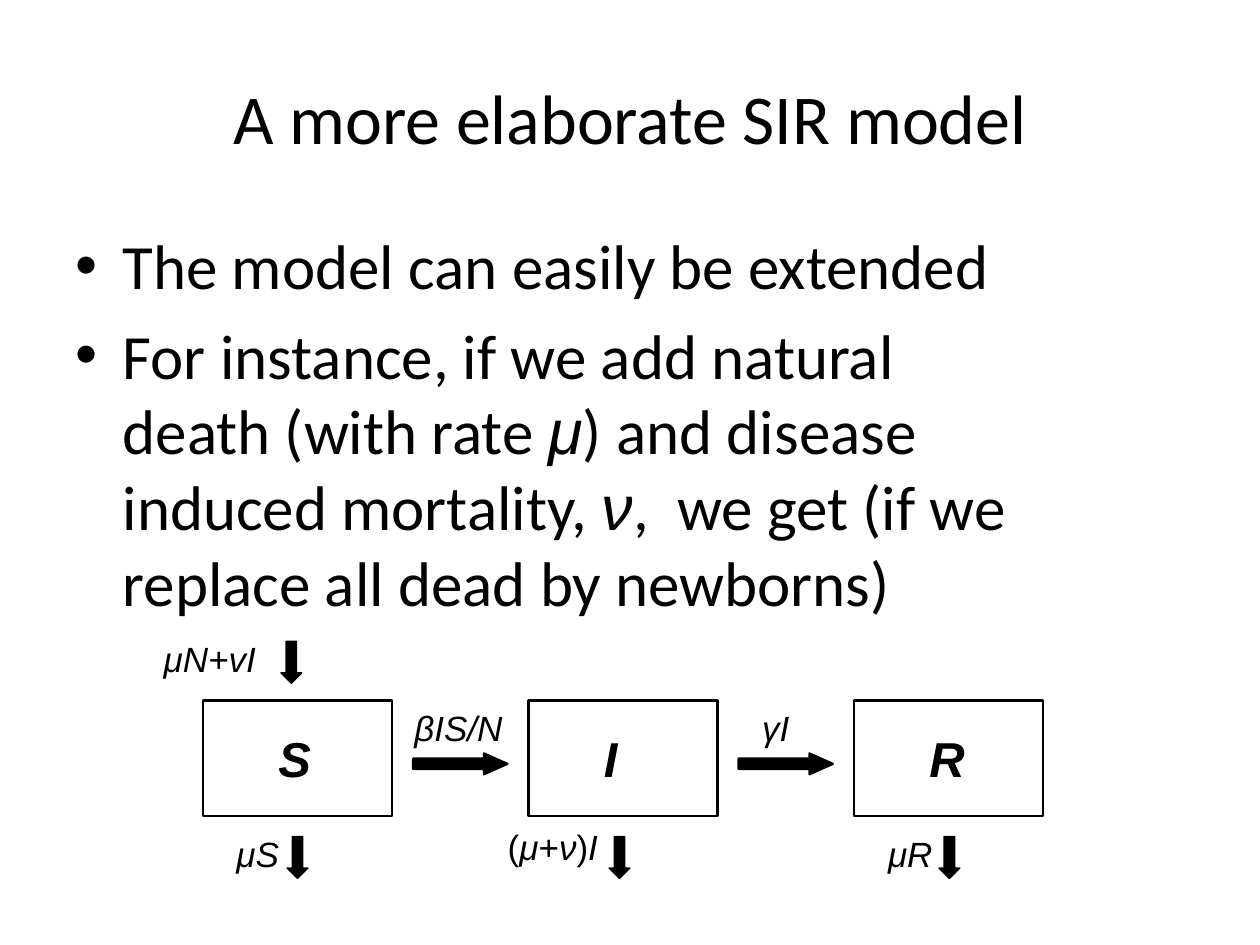
import dataclasses

import lxml.etree
import pptx
import pptx.dml.color
import pptx.enum.shapes
import pptx.enum.text
import pptx.oxml.ns
import pptx.util

Pt = pptx.util.Pt
ARROWS = pptx.enum.shapes.MSO_SHAPE
ALIGN = pptx.enum.text.PP_ALIGN
ANCHOR = pptx.enum.text.MSO_ANCHOR


@dataclasses.dataclass(frozen=True)
class Theme:
    ink: pptx.dml.color.RGBColor = pptx.dml.color.RGBColor(0, 0, 0)
    text_font: str = "Calibri"
    math_font: str = "Arial"
    title_size: int = 40
    body_size: int = 36
    state_size: int = 28
    rate_size: int = 20


class SlideBuilder:
    def __init__(self, slide, theme):
        self.slide = slide
        self.theme = theme

    def text_box(self, left, top, width, height, parent=None):
        shapes = (parent or self.slide).shapes
        frame = shapes.add_textbox(Pt(left), Pt(top), Pt(width), Pt(height)).text_frame
        frame.word_wrap = True
        return frame

    def run(self, paragraph, text, font, size, italic=False, bold=False):
        run = paragraph.add_run()
        run.text = text
        run.font.name = font
        run.font.size = Pt(size)
        run.font.italic = italic
        run.font.bold = bold
        run.font.color.rgb = self.theme.ink

    def title(self, text):
        frame = self.text_box(36, 21.6, 648, 90)
        frame.vertical_anchor = ANCHOR.MIDDLE
        paragraph = frame.paragraphs[0]
        paragraph.alignment = ALIGN.CENTER
        self.run(paragraph, text, self.theme.text_font, self.theme.title_size)

    def bullets(self, items):
        frame = self.text_box(36, 126, 568, 356)
        for index, pieces in enumerate(items):
            paragraph = frame.add_paragraph() if index else frame.paragraphs[0]
            if index:
                paragraph.space_before = Pt(8)
            properties = paragraph._p.get_or_add_pPr()
            properties.set("marL", str(Pt(27)))
            properties.set("indent", str(-Pt(27)))
            font = lxml.etree.SubElement(properties, pptx.oxml.ns.qn("a:buFont"))
            font.set("typeface", self.theme.math_font)
            bullet = lxml.etree.SubElement(properties, pptx.oxml.ns.qn("a:buChar"))
            bullet.set("char", "•")
            for text, is_symbol in pieces:
                font_name = self.theme.math_font if is_symbol else self.theme.text_font
                self.run(paragraph, text, font_name, self.theme.body_size, is_symbol)

    def state(self, left, name):
        box = self.slide.shapes.add_shape(
            ARROWS.RECTANGLE, Pt(left), Pt(400.3), Pt(108), Pt(66))
        box.shadow.inherit = False
        box.fill.background()
        box.line.color.rgb = self.theme.ink
        box.line.width = Pt(1.5)
        frame = self.text_box(left + 36, 412.5, 60, 41)
        self.run(frame.paragraphs[0], name, self.theme.math_font,
                 self.theme.state_size, italic=True, bold=True)

    def arrow(self, kind, left, top, width, height, head, line_width, parent=None):
        arrow = (parent or self.slide).shapes.add_shape(
            kind, Pt(left), Pt(top), Pt(width), Pt(height))
        arrow.adjustments[0] = 0.5
        arrow.adjustments[1] = head
        arrow.shadow.inherit = False
        arrow.fill.solid()
        arrow.fill.fore_color.rgb = self.theme.ink
        arrow.line.color.rgb = self.theme.ink
        arrow.line.width = Pt(line_width)

    def right_arrow(self, left):
        self.arrow(ARROWS.RIGHT_ARROW, left, 430.5, 54, 12, 1.125, 1.25)

    def down_arrow(self, left, top, parent=None):
        self.arrow(ARROWS.DOWN_ARROW, left, top, 12, 24, 0.5, 0.75, parent)

    def rate(self, left, top, width, pieces, parent=None):
        frame = self.text_box(left, top, width, 31.5, parent)
        for text, italic in pieces:
            self.run(frame.paragraphs[0], text, self.theme.math_font,
                     self.theme.rate_size, italic)

    def outflow(self, arrow_left, label_left, label_top, width, pieces):
        group = self.slide.shapes.add_group_shape()
        self.down_arrow(arrow_left, 478, group)
        self.rate(label_left, label_top, width, pieces, group)


def main():
    presentation = pptx.Presentation()
    presentation.slide_width = Pt(720)
    presentation.slide_height = Pt(540)
    slide = presentation.slides.add_slide(presentation.slide_layouts[6])
    builder = SlideBuilder(slide, Theme())

    builder.title("A more elaborate SIR model")
    builder.bullets([
        [("The model can easily be extended", False)],
        [("For instance, if we add natural death (with rate ", False), ("μ", True),
         (") and disease induced mortality, ", False), ("ν", True),
         (",  we get (if we replace all dead by newborns)", False)],
    ])

    first_left, pitch = 116, 186
    for index, name in enumerate("SIR"):
        builder.state(first_left + index * pitch, name)
    for index in range(2):
        builder.right_arrow(first_left + 120 + index * pitch)
    builder.rate(229.7, 400.3, 66.5, [("βIS/N", True)])
    builder.rate(428.4, 400.3, 42, [("γI", True)])

    builder.outflow(164, 128, 472.3, 60, [("μS", True)])
    builder.outflow(348, 283, 468, 84, [
        ("(", False), ("μ", True), ("+", False), ("ν", True), (")", False), ("Ι", True)])
    builder.outflow(536.5, 500.4, 472.3, 61, [("μR", True)])

    builder.down_arrow(160.5, 366.5)
    builder.rate(86.4, 360.7, 126, [("μN+vI", True)])

    presentation.save("out.pptx")


if __name__ == "__main__":
    main()
